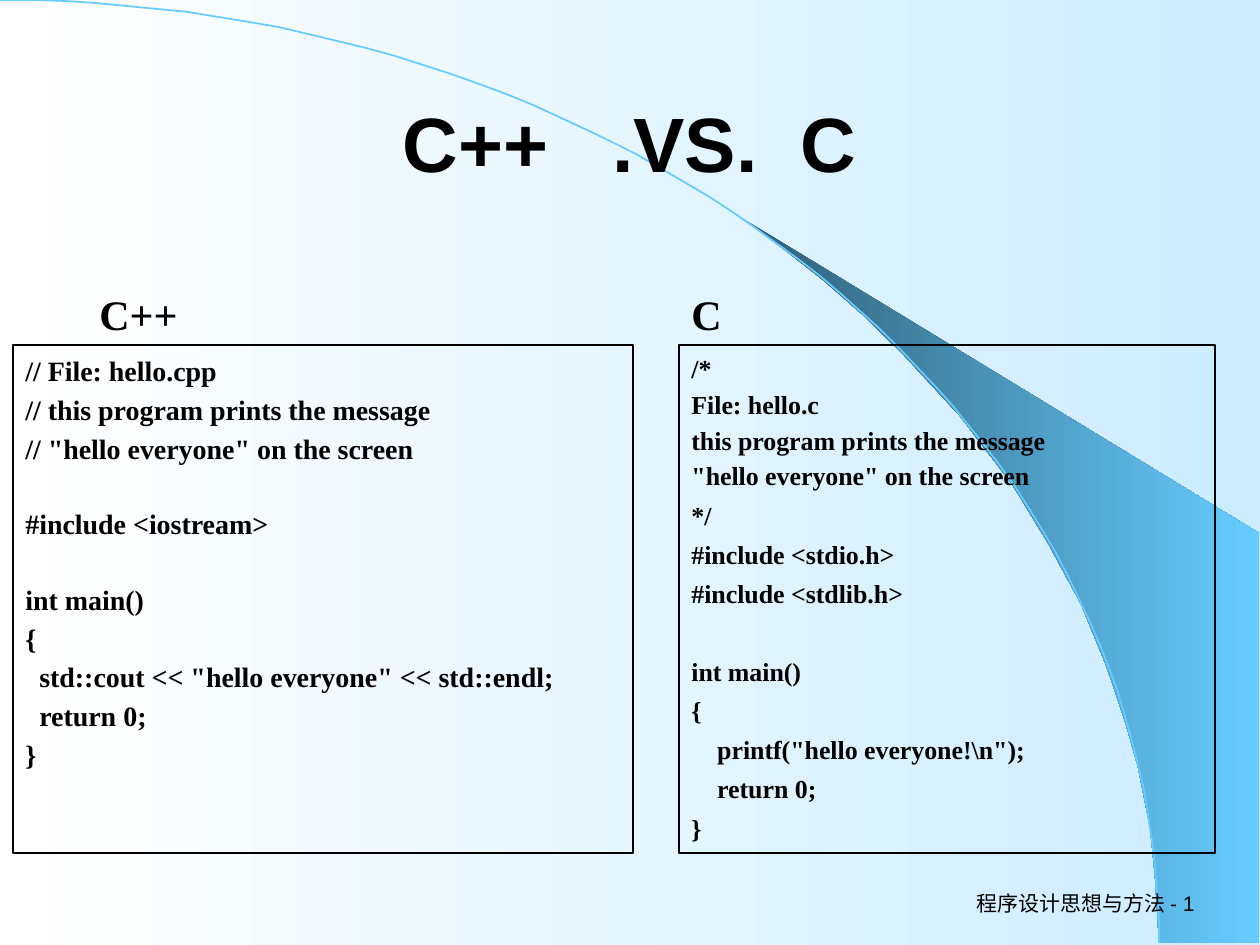
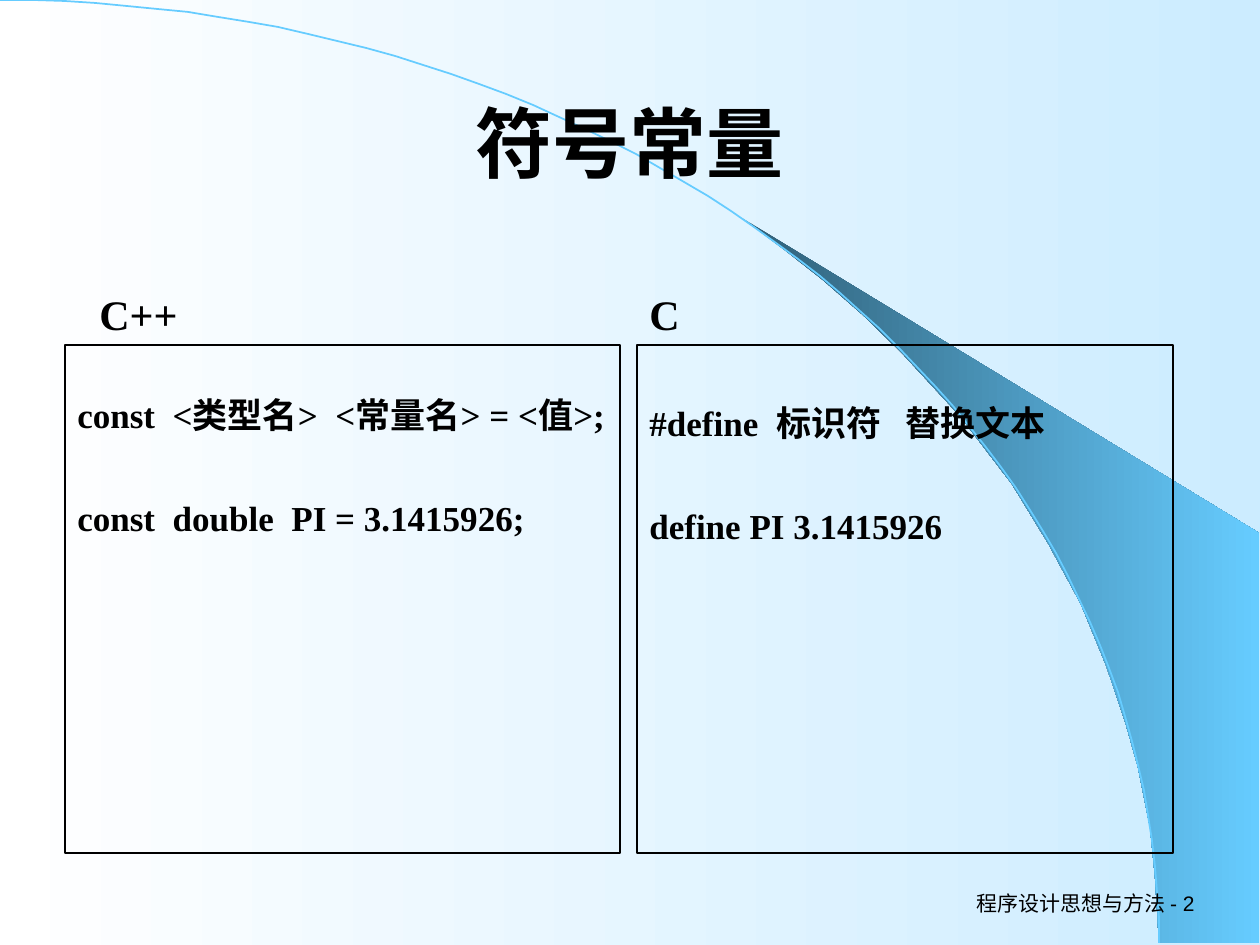
from dataclasses import dataclass

from pptx import Presentation
from pptx import util as u
from pptx.dml.color import RGBColor
from pptx.dml.fill import FillFormat
from pptx.enum import shapes, text
from pptx.shapes.autoshape import Shape
from pptx.slide import Slide

SCALE = 914400 / 126
WIDTH, HEIGHT = 1260, 945


@dataclass(frozen=True)
class Theme:
    ink: str = "000000"
    sky: str = "66CCFF"
    deep: str = "2F5E76"
    paper: str = "FFFFFF"
    mist: str = "CCECFF"
    sans: str = "Arial"
    serif: str = "Times New Roman"
    title: float = 44
    heading: float = 24
    footer: float = 12
    line_height: float = 1.15


@dataclass(frozen=True)
class Box:
    x: int
    y: int
    w: int
    h: int


@dataclass(frozen=True)
class Style:
    font: str
    size: float
    bold: bool = True
    align: text.PP_ALIGN = text.PP_ALIGN.LEFT
    anchor: text.MSO_ANCHOR = text.MSO_ANCHOR.TOP
    top: int = 6


@dataclass(frozen=True)
class Block:
    before: float
    code: str


@dataclass(frozen=True)
class Panel:
    heading: str
    heading_x: int
    x: int
    w: int
    size: float
    top: int
    blocks: tuple[Block, ...]


@dataclass(frozen=True)
class Page:
    title: str
    panels: tuple[Panel, ...]


T = Theme()
TITLE = Style(T.sans, T.title, align=text.PP_ALIGN.CENTER, anchor=text.MSO_ANCHOR.MIDDLE)
HEADING = Style(T.serif, T.heading, anchor=text.MSO_ANCHOR.BOTTOM)
FOOTER = Style(T.sans, T.footer, False, text.PP_ALIGN.RIGHT, text.MSO_ANCHOR.MIDDLE)

TITLE_BOX = Box(87, 50, 1086, 183)
FOOTER_BOX = Box(945, 882, 262, 42)
HEADING_Y, HEADING_W, HEADING_H = 232, 534, 113
PANEL_Y, PANEL_H = 345, 508

ARC = ((0, 0), (640, 0), (1159, 422), (1159, 943))
ARC_STEPS = 60
SWOOSH = (
    (1159, 943), (1259, 943), (1259, 533), (742, 218), (786, 251), (823, 280),
    (863, 315), (902, 353), (960, 416), (1012, 484), (1048, 543), (1081, 604),
    (1106, 665), (1125, 721), (1138, 767), (1150, 827), (1155, 877),
)

HELLO_CPP = """// File: hello.cpp
// this program prints the message
// "hello everyone" on the screen

#include <iostream>

int main()
{
  std::cout << "hello everyone" << std::endl;
  return 0;
}"""

HELLO_C_INTRO = """/*
File: hello.c
this program prints the message
"hello everyone" on the screen"""

HELLO_C = r"""*/
#include <stdio.h>
#include <stdlib.h>

int main()
{
    printf("hello everyone!\n");
    return 0;
}"""

CONST_CPP = """const  <类型名>  <常量名> = <值>;

const  double  PI = 3.1415926;"""

DEFINE_C = """#define  标识符   替换文本

define PI 3.1415926"""

PAGES = (
    Page("C++   .VS.  C", (
        Panel("C++", 87, 13, 620, 16, 9, (Block(2.85, HELLO_CPP),)),
        Panel("C", 679, 679, 536, 14.8, 8,
              (Block(2.65, HELLO_C_INTRO), Block(4.7, HELLO_C))),
    )),
    Page("符号常量", (
        Panel("C++", 87, 65, 555, 20, 48, (Block(6, CONST_CPP),)),
        Panel("C", 637, 637, 536, 20, 56, (Block(6, DEFINE_C),)),
    )),
)


def px(n: float) -> u.Emu:
    return u.Emu(round(n * SCALE))


def frame(box: Box) -> tuple[u.Emu, ...]:
    return px(box.x), px(box.y), px(box.w), px(box.h)


def rgb(value: str) -> RGBColor:
    return RGBColor.from_string(value)


def set_gradient(fill: FillFormat, start: str, end: str) -> None:
    fill.gradient()
    fill.gradient_angle = 0
    for stop, color in zip(fill.gradient_stops, (start, end)):
        stop.color.rgb = rgb(color)


def write(sp: Shape, blocks: tuple[Block, ...], style: Style) -> None:
    tf = sp.text_frame
    tf.word_wrap = True
    tf.vertical_anchor = style.anchor
    tf.margin_left = tf.margin_right = u.Inches(0.1)
    tf.margin_top, tf.margin_bottom = px(style.top), u.Inches(0.05)
    p, gap = None, 0.0
    for block in blocks:
        for line in block.code.splitlines():
            gap += block.before
            if not line:
                gap += style.size * T.line_height
                continue
            if p is None:
                p, gap = tf.paragraphs[0], 0.0
            else:
                p = tf.add_paragraph()
            p.space_before = u.Pt(gap)
            p.alignment = style.align
            p.add_run().text = line
            p.font.name, p.font.size, p.font.bold = style.font, u.Pt(style.size), style.bold
            p.font.color.rgb = rgb(T.ink)
            gap = 0.0


def add_label(s: Slide, box: Box, words: str, style: Style) -> None:
    write(s.shapes.add_textbox(*frame(box)), (Block(0, words),), style)


def add_outline(s: Slide, points: list[tuple[float, float]], close: bool) -> Shape:
    fb = s.shapes.build_freeform(*points[0], scale=SCALE)
    fb.add_line_segments(points[1:], close=close)
    sp = fb.convert_to_shape()
    sp.shadow.inherit = False
    return sp


def arc_point(t: float) -> tuple[float, float]:
    weights = ((1 - t) ** 3, 3 * t * (1 - t) ** 2, 3 * t * t * (1 - t), t ** 3)
    x, y = (sum(w * c[axis] for w, c in zip(weights, ARC)) for axis in (0, 1))
    return x, y


def add_backdrop(s: Slide, number: int) -> None:
    set_gradient(s.background.fill, T.paper, T.mist)
    swoosh = add_outline(s, list(SWOOSH), True)
    set_gradient(swoosh.fill, T.deep, T.sky)
    swoosh.line.fill.background()
    arc = add_outline(s, [arc_point(i / ARC_STEPS) for i in range(ARC_STEPS + 1)], False)
    arc.fill.background()
    arc.line.color.rgb = rgb(T.sky)
    arc.line.width = u.Pt(1)
    add_label(s, FOOTER_BOX, f"程序设计思想与方法 - {number}", FOOTER)


def add_panel(s: Slide, panel: Panel) -> None:
    add_label(s, Box(panel.heading_x, HEADING_Y, HEADING_W, HEADING_H), panel.heading, HEADING)
    box = Box(panel.x, PANEL_Y, panel.w, PANEL_H)
    sp = s.shapes.add_shape(shapes.MSO_SHAPE.RECTANGLE, *frame(box))
    sp.shadow.inherit = False
    sp.fill.background()
    sp.line.color.rgb = rgb(T.ink)
    sp.line.width = u.Pt(0.75)
    write(sp, panel.blocks, Style(T.serif, panel.size, top=panel.top))


def main() -> None:
    prs = Presentation()
    prs.slide_width, prs.slide_height = px(WIDTH), px(HEIGHT)
    for number, page in enumerate(PAGES, 1):
        s = prs.slides.add_slide(prs.slide_layouts[6])
        add_backdrop(s, number)
        add_label(s, TITLE_BOX, page.title, TITLE)
        for panel in page.panels:
            add_panel(s, panel)
    prs.save("out.pptx")


if __name__ == "__main__":
    main()
